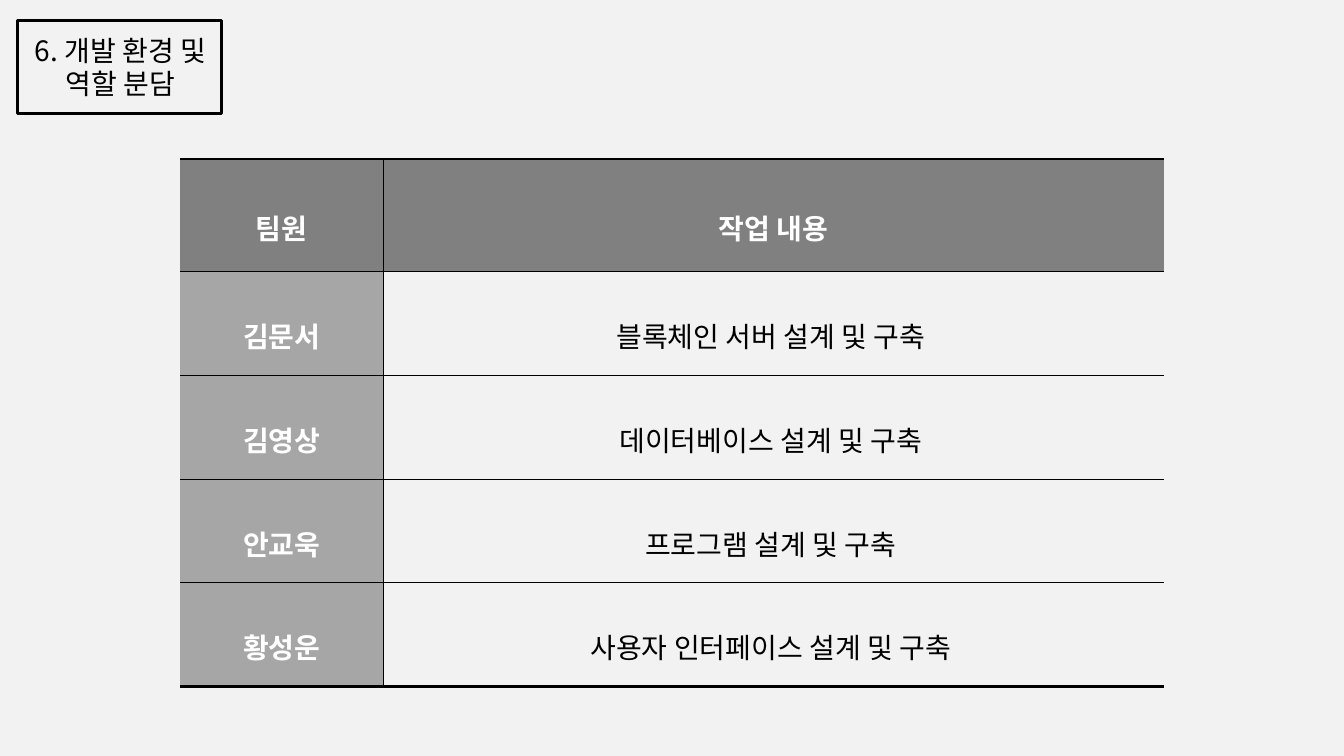
import pptx
import pptx.util
import pptx.dml.color
import pptx.enum.shapes
import pptx.enum.text
import pptx.oxml
import pptx.oxml.ns
from dataclasses import dataclass

Inches = pptx.util.Inches
Pt = pptx.util.Pt


@dataclass(frozen=True)
class Theme:
    paper: str = "F2F2F2"
    ink: str = "000000"
    white: str = "FFFFFF"
    head: str = "808080"
    name: str = "A6A6A6"
    font: str = "Noto Sans CJK KR"
    plain: str = "Arial"
    size: float = 20
    thin: float = 0.28
    thick: float = 1.98
    frame: float = 2


ROWS = [
    ("팀원", "작업 내용"),
    ("김문서", "블록체인 서버 설계 및 구축"),
    ("김영상", "데이터베이스 설계 및 구축"),
    ("안교욱", "프로그램 설계 및 구축"),
    ("황성운", "사용자 인터페이스 설계 및 구축"),
]
WIDTHS = [2.01, 7.74]
HEIGHTS = [1.11] + [1.03] * 4


def color(code):
    return pptx.dml.color.RGBColor.from_string(code)


def node(tag, body="", **attrs):
    text = "".join(f' {key}="{val}"' for key, val in attrs.items())
    space = pptx.oxml.ns.nsdecls("a")
    return pptx.oxml.parse_xml(f"<a:{tag} {space}{text}>{body}</a:{tag}>")


def solid(code, inner=""):
    return f'<a:solidFill><a:srgbClr val="{code}">{inner}</a:srgbClr></a:solidFill>'


def write(frame, text, *, font, east, size, ink, bold=False, lead=None):
    """Put one centred paragraph in a text frame and return its run."""
    para = frame.paragraphs[0]
    para.alignment = pptx.enum.text.PP_ALIGN.CENTER
    if lead:
        para.line_spacing = lead
    run = para.add_run()
    run.text = text
    run.font.name = font
    run.font.size = Pt(size)
    run.font.bold = bold
    run.font.color.rgb = color(ink)
    run.font._element.append(node("ea", typeface=east))
    return run


class Deck:
    """Holds the theme and the current slide."""

    def __init__(self, theme):
        self.theme = theme
        self.file = pptx.Presentation()
        self.file.slide_width = Inches(13.33)
        self.file.slide_height = Inches(7.5)
        self.slide = self.file.slides.add_slide(self.file.slide_layouts[6])
        fill = self.slide.background.fill
        fill.solid()
        fill.fore_color.rgb = color(theme.paper)

    def title(self, text, *box):
        look = self.theme
        frame = self.slide.shapes.add_textbox(*map(Inches, box)).text_frame
        frame.word_wrap = True
        frame.auto_size = pptx.enum.text.MSO_AUTO_SIZE.SHAPE_TO_FIT_TEXT
        run = write(frame, text, font=look.font, east=look.font,
                    size=look.size, ink=look.ink)
        edge = solid(look.ink, '<a:alpha val="30000"/>')
        run.font._element.insert(0, node("ln", edge, w=Pt(0.75)))

    def frame(self, *box):
        kind = pptx.enum.shapes.MSO_SHAPE.RECTANGLE
        shape = self.slide.shapes.add_shape(kind, *map(Inches, box))
        shape.shadow.inherit = False
        shape.fill.background()
        shape.line.color.rgb = color(self.theme.ink)
        shape.line.width = Pt(self.theme.frame)

    def edges(self, cell, **widths):
        """Set the four cell borders; a width of 0 hides one."""
        props = cell._tc.get_or_add_tcPr()
        for spot, side in enumerate("LRTB"):
            width = widths[side]
            body = solid(self.theme.ink) if width else "<a:noFill/>"
            props.insert(spot, node("ln" + side, body, w=Pt(width)))

    def cell(self, cell, text, row, col):
        look = self.theme
        label = row == 0 or col == 0
        cell.vertical_anchor = pptx.enum.text.MSO_ANCHOR.MIDDLE
        cell.margin_left = Inches(0.07)
        cell.margin_right = Inches(0.07 if label else 0.12)
        cell.margin_top = cell.margin_bottom = Inches(0.02)
        if label:
            cell.fill.solid()
            cell.fill.fore_color.rgb = color(look.name if row else look.head)
        else:
            cell.fill.background()
        write(cell.text_frame, text, font=look.font if label else look.plain,
              east=look.font, size=look.size, bold=label, lead=1.6,
              ink=look.white if label else look.ink)
        last = row == len(ROWS) - 1
        self.edges(cell, L=look.thin if col else 0, R=0 if col else look.thin,
                   T=look.thin if row else look.thick,
                   B=look.thick if last else look.thin)

    def table(self, left, top):
        box = left, top, sum(WIDTHS), sum(HEIGHTS)
        grid = self.slide.shapes.add_table(
            len(ROWS), len(WIDTHS), *map(Inches, box)).table
        grid.first_row = grid.horz_banding = False
        for part, width in zip(grid.columns, WIDTHS):
            part.width = Inches(width)
        for part, height in zip(grid.rows, HEIGHTS):
            part.height = Inches(height)
        for row, texts in enumerate(ROWS):
            for col, text in enumerate(texts):
                self.cell(grid.cell(row, col), text, row, col)


def main():
    deck = Deck(Theme())
    deck.table(1.79, 1.58)
    deck.title("6. 개발 환경 및 역할 분담", 0.14, 0.28, 2.11, 0.77)
    deck.frame(0.17, 0.2, 2.03, 0.93)
    deck.file.save("out.pptx")


if __name__ == "__main__":
    main()
